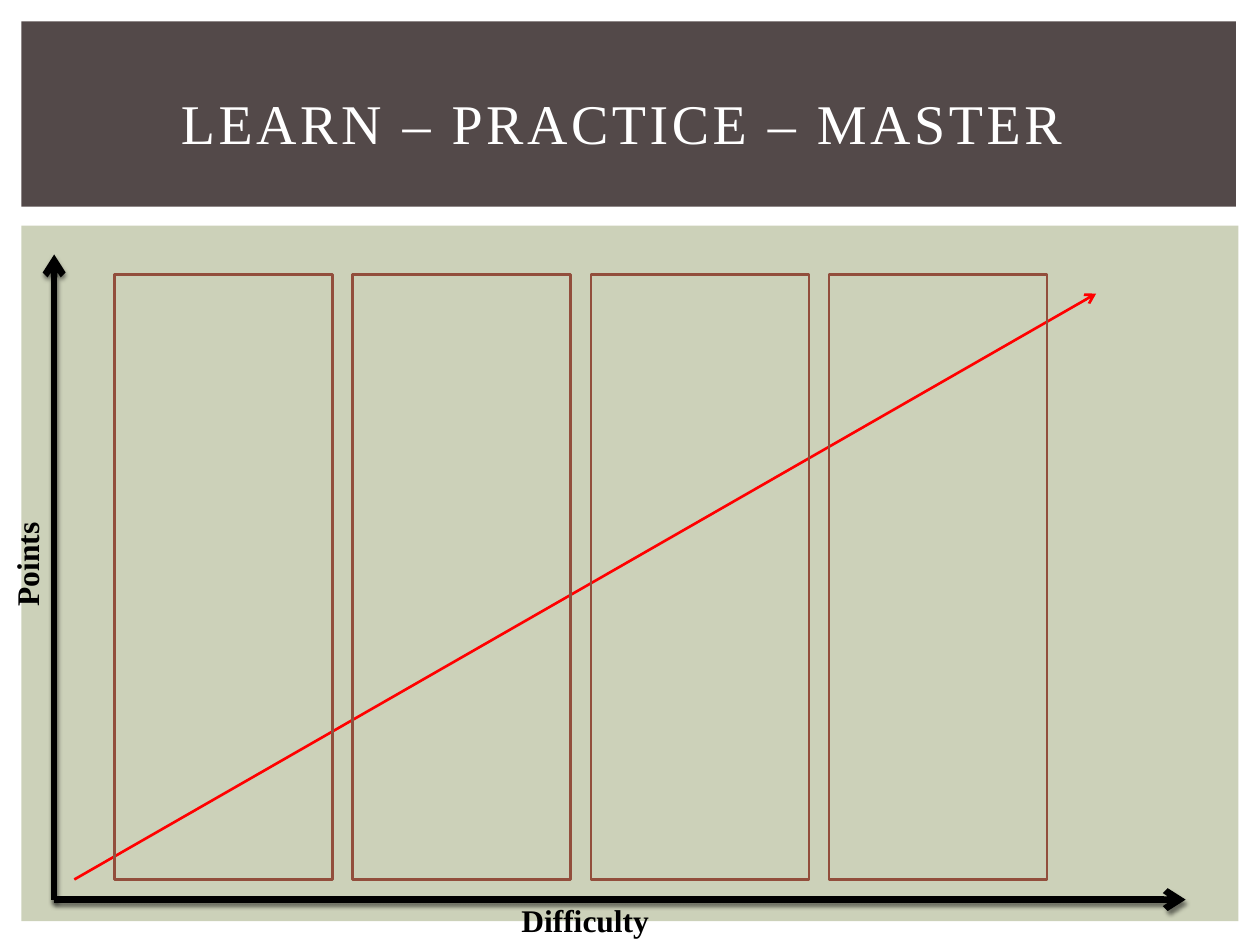
from dataclasses import dataclass

import pptx
import pptx.dml.color
import pptx.enum.shapes
import pptx.enum.text
import pptx.oxml
import pptx.oxml.ns
import pptx.util
from pptx.util import Inches

FONT = "Times New Roman"
BLACK, WHITE, RED = "000000", "FFFFFF", "FF0000"
SAGE, UMBER, RUST = "CCD1B9", "534949", "924E3C"


@dataclass
class Rect:
    left: float
    top: float
    width: float
    height: float

    def lengths(self):
        return [Inches(n) for n in (self.left, self.top, self.width, self.height)]


@dataclass
class Arrow:
    start: tuple[float, float]
    end: tuple[float, float]
    color: str
    weight: float
    shadow: bool = False


@dataclass
class Label:
    text: str
    rect: Rect
    size: float
    color: str = BLACK
    bold: bool = False
    wrap: bool = False
    spacing: float = 0
    rotation: float = 0


def rgb(color: str) -> pptx.dml.color.RGBColor:
    return pptx.dml.color.RGBColor.from_string(color)


def draw_rect(page, rect: Rect, fill: str | None = None, line: str | None = None) -> None:
    shape = page.shapes.add_shape(
        pptx.enum.shapes.MSO_SHAPE.RECTANGLE, *rect.lengths())
    shape.shadow.inherit = False
    if fill:
        shape.fill.solid()
        shape.fill.fore_color.rgb = rgb(fill)
    else:
        shape.fill.background()
    if line:
        shape.line.color.rgb = rgb(line)
        shape.line.width = pptx.util.Pt(1.5)
    else:
        shape.line.fill.background()


def effects(shadow: bool):
    """Return an effect list, empty or with a soft shadow falling straight down."""
    content = (
        '<a:outerShdw blurRad="31750" dist="25400" dir="5400000" rotWithShape="0">'
        '<a:srgbClr val="000000"><a:alpha val="50000"/></a:srgbClr></a:outerShdw>'
    ) if shadow else ""
    namespace = pptx.oxml.ns.nsdecls("a")
    return pptx.oxml.parse_xml(f"<a:effectLst {namespace}>{content}</a:effectLst>")


def draw_arrow(page, arrow: Arrow) -> None:
    points = [Inches(n) for n in (*arrow.start, *arrow.end)]
    connector = page.shapes.add_connector(
        pptx.enum.shapes.MSO_CONNECTOR.STRAIGHT, *points)
    connector.line.color.rgb = rgb(arrow.color)
    connector.line.width = pptx.util.Pt(arrow.weight)
    properties = connector._element.spPr
    line = properties.find(pptx.oxml.ns.qn("a:ln"))
    namespace = pptx.oxml.ns.nsdecls("a")
    line.append(pptx.oxml.parse_xml(f'<a:tailEnd {namespace} type="arrow"/>'))
    properties.append(effects(arrow.shadow))


def draw_label(page, label: Label) -> None:
    box = page.shapes.add_textbox(*label.rect.lengths())
    box.rotation = label.rotation
    frame = box.text_frame
    frame.word_wrap = label.wrap
    frame.vertical_anchor = pptx.enum.text.MSO_ANCHOR.MIDDLE
    frame.text = label.text
    para = frame.paragraphs[0]
    para.alignment = pptx.enum.text.PP_ALIGN.CENTER
    span = para.runs[0]
    span.font.name = FONT
    span.font.size = pptx.util.Pt(label.size)
    span.font.bold = label.bold
    span.font.color.rgb = rgb(label.color)
    if label.spacing:
        span.font._element.set("spc", str(round(label.spacing * 100)))


def main() -> None:
    deck = pptx.Presentation()
    deck.slide_width, deck.slide_height = Inches(10), Inches(7.5)
    page = deck.slides.add_slide(deck.slide_layouts[6])

    draw_rect(page, Rect(0.17, 1.79, 9.66, 5.52), fill=SAGE)
    draw_rect(page, Rect(0.17, 0.17, 9.64, 1.47), fill=UMBER)
    draw_label(page, Label("LEARN – PRACTICE – MASTER ", Rect(0.42, 0.39, 9.17, 1.15),
                           32, WHITE, wrap=True, spacing=2))

    axis_origin = (0.43, 7.14)
    for arrow in (
        Arrow(axis_origin, (0.43, 2.02), BLACK, 3.75, shadow=True),
        Arrow(axis_origin, (9.41, 7.14), BLACK, 3.75, shadow=True),
        Arrow((0.59, 6.98), (8.7, 2.33), RED, 1.5),
    ):
        draw_arrow(page, arrow)

    draw_label(page, Label("Difficulty", Rect(4.03, 7.1, 1.23, 0.4), 18, bold=True))
    draw_label(page, Label("Points", Rect(-0.23, 4.28, 0.88, 0.4), 18, bold=True,
                           rotation=270))

    stage_left, stage_pitch = 0.91, 1.89
    for stage in range(4):
        left = stage_left + stage * stage_pitch
        draw_rect(page, Rect(left, 2.18, 1.73, 4.8), line=RUST)

    deck.save("out.pptx")


if __name__ == "__main__":
    main()
